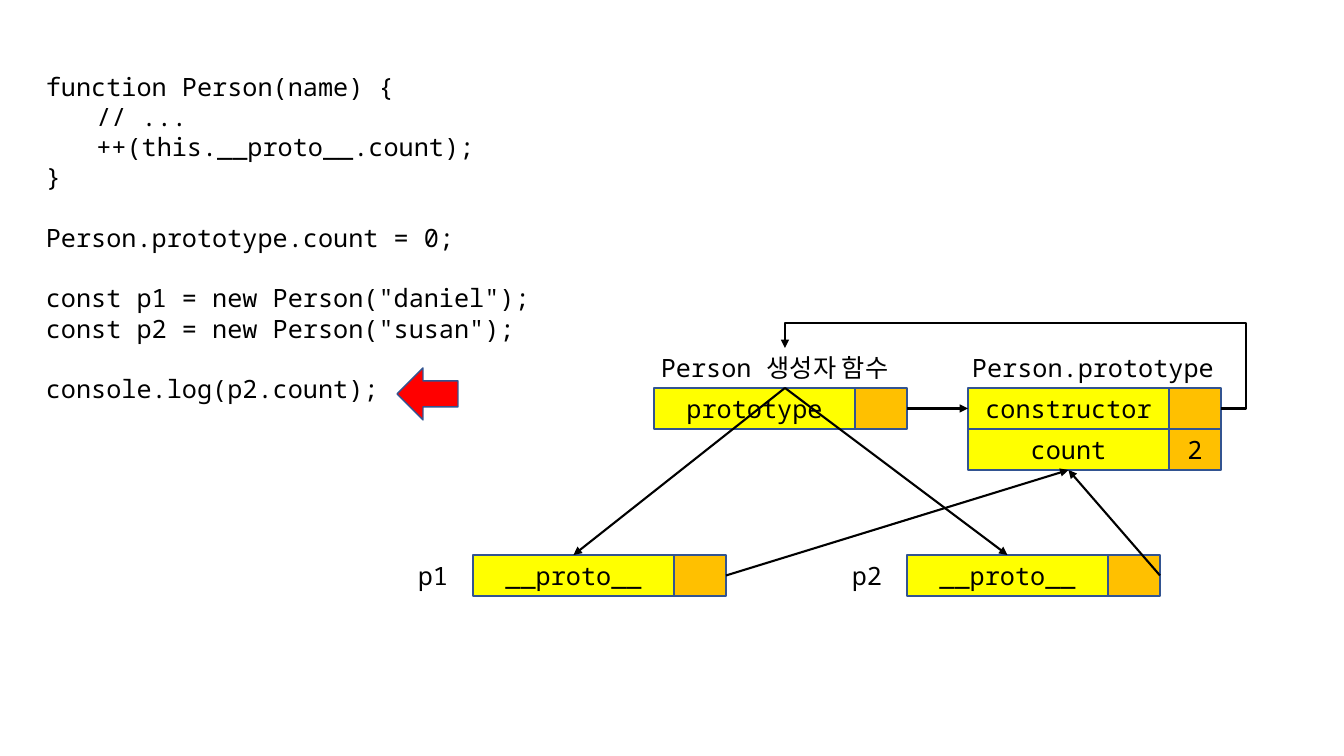
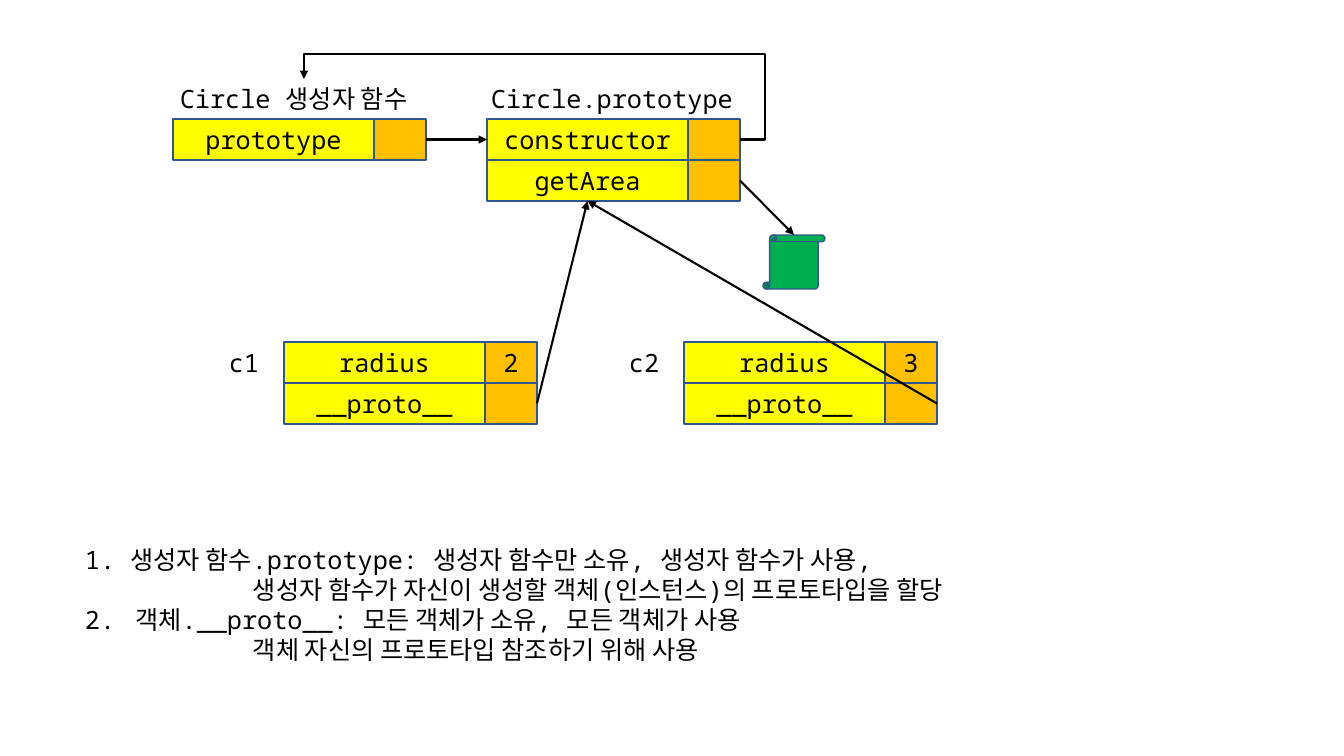
"""Builds two slides on constructor functions, prototypes and instances."""
from dataclasses import dataclass

from lxml.etree import SubElement
from pptx import Presentation
from pptx.dml.color import RGBColor
from pptx.enum.shapes import MSO_CONNECTOR, MSO_SHAPE
from pptx.enum.text import MSO_ANCHOR, PP_ALIGN
from pptx.oxml.ns import qn
from pptx.util import Pt

CODE = [
    ["function Person(name) {", "\t// ...", "\t++(this.__proto__.count);", "}"],
    ["Person.prototype.count = 0;"],
    ['const p1 = new Person("daniel");', 'const p2 = new Person("susan");'],
    ["console.log(p2.count);"],
]
PERSON = {
    "name": "Person", "at": (654, 388), "member": ("count", "2"),
    "objects": [("p1", (473, 555), [("__proto__", "")]),
                ("p2", (907, 555), [("__proto__", "")])],
}
CIRCLE = {
    "name": "Circle", "at": (173, 119), "member": ("getArea", ""),
    "objects": [("c1", (284, 342), [("radius", "2"), ("__proto__", "")]),
                ("c2", (684, 342), [("radius", "3"), ("__proto__", "")])],
}
NOTES = [
    ("1. 생성자 함수.prototype: 생성자 함수만 소유, 생성자 함수가 사용,", 0),
    ("생성자 함수가 자신이 생성할 객체(인스턴스)의 프로토타입을 할당", 168),
    ("2.\t객체.__proto__: 모든 객체가 소유, 모든 객체가 사용", 0),
    ("객체 자신의 프로토타입 참조하기 위해 사용", 168),
]
NOTE_TAB = 141


@dataclass(frozen=True)
class Theme:
    """Colours and type shared by the slides."""
    ink: str = "000000"
    key: str = "FFFF00"
    value: str = "FFC000"
    border: str = "325491"
    pointer: str = "FF0000"
    scroll: str = "00B050"
    font: str = "Noto Sans Mono"
    size: float = 18
    blank_line: float = 21.6
    border_width: float = 1
    arrow_width: float = 1.5


T = Theme()
SCALE = 914400 / 100.8
KEY_W, VALUE_W, ROW_H = 201, 52, 41
RECORD_W = KEY_W + VALUE_W
PROTO_DX, LOOP_DX, LOOP_GAP = 314, 131, 25


def px(n):
    return round(n * SCALE)


def colour(code):
    return RGBColor.from_string(code)


def style(p):
    for r in p.runs:
        r.font.name, r.font.size = T.font, Pt(T.size)
        r.font.color.rgb = colour(T.ink)


def add_text(s, lines, x, y, w, h):
    box = s.shapes.add_textbox(*map(px, (x, y, w, h)))
    tf = box.text_frame
    tf.word_wrap, tf.margin_right = True, 0
    tf.text = "\n".join(lines)
    for p in tf.paragraphs:
        style(p)
    return tf.paragraphs


def add_box(shapes, kind, fill, x, y, w, h, text=""):
    sp = shapes.add_shape(kind, *map(px, (x, y, w, h)))
    sp.shadow.inherit = False
    sp.fill.solid()
    sp.fill.fore_color.rgb = colour(fill)
    sp.line.color.rgb = colour(T.border)
    sp.line.width = Pt(T.border_width)
    if text:
        tf = sp.text_frame
        tf.text, tf.vertical_anchor = text, MSO_ANCHOR.MIDDLE
        tf.paragraphs[0].alignment = PP_ALIGN.CENTER
        style(tf.paragraphs[0])


def add_record(s, rows, x, y):
    for i, (key, value) in enumerate(rows):
        row = s.shapes.add_group_shape().shapes
        top = y + i * ROW_H
        add_box(row, MSO_SHAPE.RECTANGLE, T.key, x, top, KEY_W, ROW_H, key)
        add_box(row, MSO_SHAPE.RECTANGLE, T.value, x + KEY_W, top, VALUE_W, ROW_H, value)


def add_arrow(s, start, end, kind=MSO_CONNECTOR.STRAIGHT):
    cn = s.shapes.add_connector(kind, *map(px, start + end))
    cn.line.color.rgb = colour(T.ink)
    cn.line.width = Pt(T.arrow_width)
    SubElement(cn.line._get_or_add_ln(), qn("a:tailEnd"), type="triangle")
    SubElement(cn._element.spPr, qn("a:effectLst"))
    return cn


def add_loop(s, start, end):
    """Elbow that leaves to the right, passes above and drops onto its end."""
    geom = add_arrow(s, start, end, MSO_CONNECTOR.ELBOW)._element.spPr.find(qn("a:prstGeom"))
    geom.set("prst", "bentConnector4")
    guides = geom.find(qn("a:avLst"))
    if guides is None:
        guides = SubElement(geom, qn("a:avLst"))
    across = -LOOP_GAP / (start[0] - end[0])
    up = 1 + LOOP_GAP / (start[1] - end[1])
    for name, ratio in (("adj1", across), ("adj2", up)):
        SubElement(guides, qn("a:gd"), name=name, fmla=f"val {round(ratio * 100000)}")


def add_diagram(s, model):
    """Draws constructor, prototype and instances; returns the prototype's corner."""
    x, y = model["at"]
    proto_x, mid = x + PROTO_DX, y + ROW_H / 2
    add_record(s, [("prototype", "")], x, y)
    add_record(s, [("constructor", ""), model["member"]], proto_x, y)
    add_text(s, [model["name"] + " 생성자 함수"], x - 3, y - ROW_H, 269, ROW_H)
    add_text(s, [model["name"] + ".prototype"], proto_x - 6, y - ROW_H, 263, ROW_H)
    add_arrow(s, (x + RECORD_W, mid), (proto_x, mid))
    add_loop(s, (proto_x + RECORD_W, mid), (x + LOOP_DX, y - ROW_H + 1))
    for name, (left, top), rows in model["objects"]:
        add_record(s, rows, left, top)
        add_text(s, [name], left - 65, top, 50, ROW_H)
        add_arrow(s, (left + RECORD_W, top + (len(rows) - 0.5) * ROW_H),
                  (proto_x + KEY_W / 2, y + 2 * ROW_H))
    return proto_x, y


def person_slide(s):
    lines = [line for block in CODE for line in block]
    paragraphs = add_text(s, lines, 36, 66, 507, 346)
    first = 0
    for block in CODE[:-1]:
        first += len(block)
        paragraphs[first].space_before = Pt(T.blank_line)
    add_box(s.shapes, MSO_SHAPE.LEFT_ARROW, T.pointer, 397, 368, 61, 52)
    add_diagram(s, PERSON)
    x, y = PERSON["at"]
    for _, (left, top), _ in PERSON["objects"]:
        add_arrow(s, (x + LOOP_DX, y), (left + KEY_W / 2, top))


def circle_slide(s):
    x, y = add_diagram(s, CIRCLE)
    add_box(s.shapes, MSO_SHAPE.VERTICAL_SCROLL, T.scroll, 763, 235, 62, 54)
    add_arrow(s, (x + RECORD_W, y + 1.5 * ROW_H), (794, 235))
    paragraphs = add_text(s, [line for line, _ in NOTES], 75, 539, 1193, 132)
    for p, (_, indent) in zip(paragraphs, NOTES):
        pPr = p._p.get_or_add_pPr()
        pPr.set("marL", str(px(indent)))
        pPr.set("indent", "0")
        if "\t" in p.text:
            tabs = SubElement(pPr, qn("a:tabLst"))
            SubElement(tabs, qn("a:tab"), pos=str(px(NOTE_TAB)), algn="l")


prs = Presentation()
prs.slide_width, prs.slide_height = px(1344), px(756)
for build in (person_slide, circle_slide):
    build(prs.slides.add_slide(prs.slide_layouts[6]))
prs.save("out.pptx")
